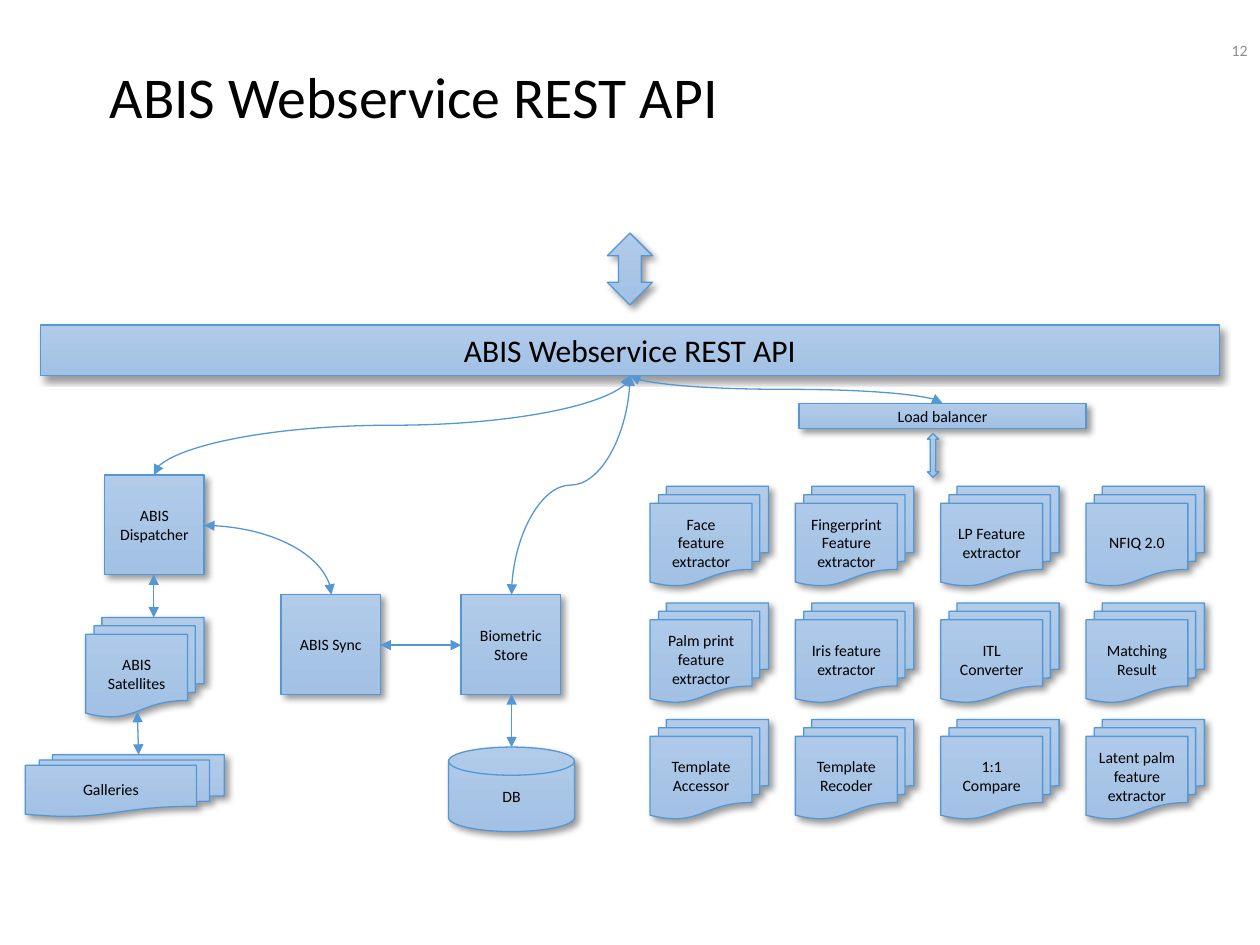
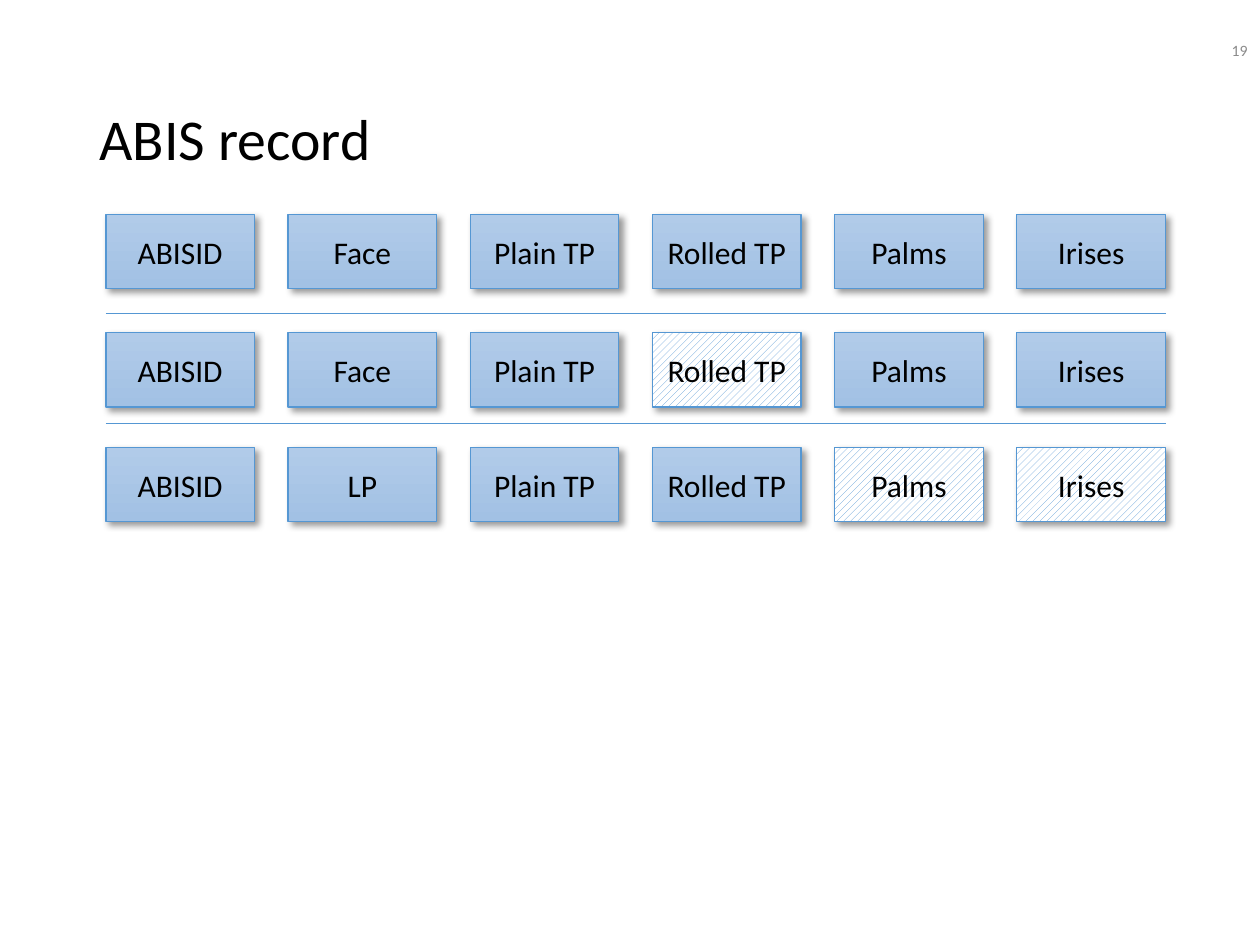
"""Two slides on an ABIS web service: its architecture and its records."""
from lxml.etree import SubElement
from pptx import Presentation
from pptx.dml.color import RGBColor
from pptx.enum.dml import MSO_PATTERN
from pptx.enum.shapes import MSO_CONNECTOR, MSO_SHAPE
from pptx.enum.text import MSO_ANCHOR, MSO_AUTO_SIZE, PP_ALIGN
from pptx.oxml.ns import qn
from pptx.util import Inches, Pt

BLACK = RGBColor(0x00, 0x00, 0x00)
WHITE = RGBColor(0xFF, 0xFF, 0xFF)
GREY = RGBColor(0x8B, 0x8B, 0x8B)
BLUE_TOP = RGBColor(0xB1, 0xCB, 0xE9)
BLUE_BOTTOM = RGBColor(0xA2, 0xC1, 0xE4)
OUTLINE = RGBColor(0x55, 0x97, 0xD3)
HATCH = RGBColor(0x5B, 0x9B, 0xD5)
FONT = "Calibri"

SERVICES = [
    ["Face feature extractor", "Fingerprint Feature extractor", "LP Feature extractor", "NFIQ 2.0"],
    ["Palm print feature extractor", "Iris feature extractor", "ITL Converter", "Matching Result"],
    ["Template Accessor", "Template Recoder", "1:1 Compare", "Latent palm feature extractor"],
]
RECORDS = [
    (1.7, ["ABISID", "Face", "Plain TP", "Rolled TP", "Palms", "Irises"], []),
    (2.64, ["ABISID", "Face", "Plain TP", "Rolled TP", "Palms", "Irises"], ["Rolled TP"]),
    (3.55, ["ABISID", "LP", "Plain TP", "Rolled TP", "Palms", "Irises"], ["Palms", "Irises"]),
]


def write(frame, text, size, color, align):
    """Fill a text frame with one formatted paragraph."""
    frame.text = text
    frame.word_wrap = True
    frame.vertical_anchor = MSO_ANCHOR.MIDDLE
    paragraph = frame.paragraphs[0]
    paragraph.alignment = align
    font = paragraph.runs[0].font
    font.name, font.size, font.color.rgb = FONT, Pt(size), color


def cast_shadow(shape):
    """Give a shape a soft shadow to the lower right."""
    shape.shadow.inherit = False
    effects = shape.element.spPr.find(qn("a:effectLst"))
    shadow = SubElement(effects, qn("a:outerShdw"), blurRad=str(Pt(4)), dist=str(Pt(3)),
                        dir="2700000", algn="tl", rotWithShape="0")
    black = SubElement(shadow, qn("a:srgbClr"), val=str(BLACK))
    SubElement(black, qn("a:alpha"), val="40000")


def add_block(slide, kind, box, label="", size=9, hatched=False):
    """Draw one blue or hatched block and return it."""
    block = slide.shapes.add_shape(kind, *map(Inches, box))
    if hatched:
        block.fill.patterned()
        block.fill.pattern = MSO_PATTERN.WIDE_UPWARD_DIAGONAL
        block.fill.fore_color.rgb, block.fill.back_color.rgb = HATCH, WHITE
    else:
        block.fill.gradient()
        block.fill.gradient_angle = 270
        for stop, color in zip(block.fill.gradient_stops, (BLUE_TOP, BLUE_BOTTOM)):
            stop.color.rgb = color
    block.line.color.rgb, block.line.width = OUTLINE, Pt(0.75)
    cast_shadow(block)
    if label:
        write(block.text_frame, label, size, BLACK, PP_ALIGN.CENTER)
    return block


def add_link(slide, start, end, kind=MSO_CONNECTOR.STRAIGHT, arrows=True):
    """Draw a thin line between two points, with arrowheads at both ends."""
    link = slide.shapes.add_connector(kind, *map(Inches, (*start, *end)))
    link.line.color.rgb, link.line.width = OUTLINE, Pt(0.75)
    if arrows:
        for tag in ("a:headEnd", "a:tailEnd"):
            SubElement(link.line._get_or_add_ln(), qn(tag), type="triangle")
    SubElement(link.element.spPr, qn("a:effectLst"))
    return link


def add_drop_curve(slide, start, end):
    """Draw an S curve that leaves and arrives vertically."""
    (x1, y1), (x2, y2) = start, end
    center_x, center_y = (x1 + x2) / 2, (y1 + y2) / 2
    half_w, half_h = abs(y2 - y1) / 2, abs(x2 - x1) / 2
    side = -1 if x2 < x1 else 1
    curve = add_link(slide, (center_x + side * half_w, center_y - half_h),
                     (center_x - side * half_w, center_y + half_h), MSO_CONNECTOR.CURVE)
    turn = 90 if x2 < x1 else 270
    curve.element.spPr.find(qn("a:xfrm")).set("rot", str(turn * 60000))


def add_corner_curve(slide, start, end):
    """Draw a quarter curve that leaves sideways and arrives from above."""
    curve = add_link(slide, start, end, MSO_CONNECTOR.CURVE)
    curve.element.spPr.find(qn("a:prstGeom")).set("prst", "curvedConnector2")


def start_slide(deck, heading, number, box):
    """Add a slide with its title and page number."""
    slide = deck.slides.add_slide(deck.slide_layouts[5])
    title = slide.shapes.title
    title.left, title.top, title.width, title.height = map(Inches, box)
    write(title.text_frame, heading, 33, BLACK, PP_ALIGN.LEFT)
    title.text_frame.auto_size = MSO_AUTO_SIZE.NONE
    title.text_frame.paragraphs[0].line_spacing = 0.9
    page = slide.shapes.add_textbox(*map(Inches, (7.75, 0.2, 2.25, 0.4)))
    write(page.text_frame, number, 9, GREY, PP_ALIGN.RIGHT)
    return slide


def add_api_bar(slide, left, top, width, height):
    """Place the API bar with the two-way arrow above it."""
    add_block(slide, MSO_SHAPE.RECTANGLE, (left, top, width, height), "ABIS Webservice REST API", 18)
    add_block(slide, MSO_SHAPE.UP_DOWN_ARROW, (left + width / 2 - 0.18, top - 0.73, 0.36, 0.57))


def add_storage(slide, left, top):
    """Place the dispatcher, its satellites and the stores, with their links."""
    side = 0.79
    parts = [
        (MSO_SHAPE.RECTANGLE, 0.63, 0, side, side, "ABIS Dispatcher"),
        (MSO_SHAPE.FLOWCHART_MULTIDOCUMENT, 0.48, 1.13, 0.94, side, "ABIS Satellites"),
        (MSO_SHAPE.FLOWCHART_MULTIDOCUMENT, 0, 2.22, 1.58, 0.49, "Galleries"),
        (MSO_SHAPE.RECTANGLE, 2.03, 0.95, side, side, "ABIS Sync"),
        (MSO_SHAPE.RECTANGLE, 3.46, 0.95, side, side, "Biometric Store"),
        (MSO_SHAPE.FLOWCHART_MAGNETIC_DISK, 3.36, 2.16, 1, 0.67, "DB"),
    ]
    for kind, x, y, width, height, label in parts:
        add_block(slide, kind, (left + x, top + y, width, height), label)
    links = [
        ((1.02, 0.79), (1.02, 1.13)),
        ((0.89, 1.88), (0.9, 2.22)),
        ((2.82, 1.35), (3.46, 1.35)),
        ((3.86, 1.74), (3.86, 2.16)),
    ]
    for (x1, y1), (x2, y2) in links:
        add_link(slide, (left + x1, top + y1), (left + x2, top + y2))
    add_corner_curve(slide, (left + 1.42, top + 0.4), (left + 2.43, top + 0.95))


def add_services(slide, left, top):
    """Place the load balancer above its grid of services."""
    add_block(slide, MSO_SHAPE.RECTANGLE, (left + 1.18, top, 2.28, 0.2), "Load balancer")
    add_block(slide, MSO_SHAPE.UP_DOWN_ARROW, (left + 2.2, top + 0.24, 0.09, 0.35))
    for row, labels in enumerate(SERVICES):
        for column, label in enumerate(labels):
            box = (left + column * 1.153, top + 0.66 + row * 0.925, 0.94, 0.79)
            add_block(slide, MSO_SHAPE.FLOWCHART_MULTIDOCUMENT, box, label)


def add_record(slide, left, top, width, fields, missing):
    """Place one record as a row of fields, hatching the missing ones."""
    field_width = 1.18
    pitch = (width - field_width) / (len(fields) - 1)
    for column, field in enumerate(fields):
        box = (left + column * pitch, top, field_width, 0.59)
        add_block(slide, MSO_SHAPE.RECTANGLE, box, field, 18, field in missing)


def build_architecture(deck):
    """Build the slide on the web service."""
    slide = start_slide(deck, "ABIS Webservice REST API", "12", (0.77, 0.32, 8.62, 0.94))
    add_api_bar(slide, 0.32, 2.58, 9.36, 0.4)
    add_storage(slide, 0.2, 3.77)
    add_services(slide, 5.16, 3.2)
    for target in ((4.06, 4.72), (7.48, 3.2), (1.22, 3.77)):
        add_drop_curve(slide, (5, 2.98), target)


def build_records(deck):
    """Build the slide on the record layout."""
    slide = start_slide(deck, "ABIS record", "19", (0.69, 0.4, 8.62, 1.45))
    left, width = 0.84, 8.41
    for top, fields, missing in RECORDS:
        add_record(slide, left, top, width, fields, missing)
    for y in (2.49, 3.36):
        add_link(slide, (left, y), (left + width, y), arrows=False)


presentation = Presentation()
presentation.slide_width, presentation.slide_height = Inches(10), Inches(7.5)
build_architecture(presentation)
build_records(presentation)
presentation.save("out.pptx")
